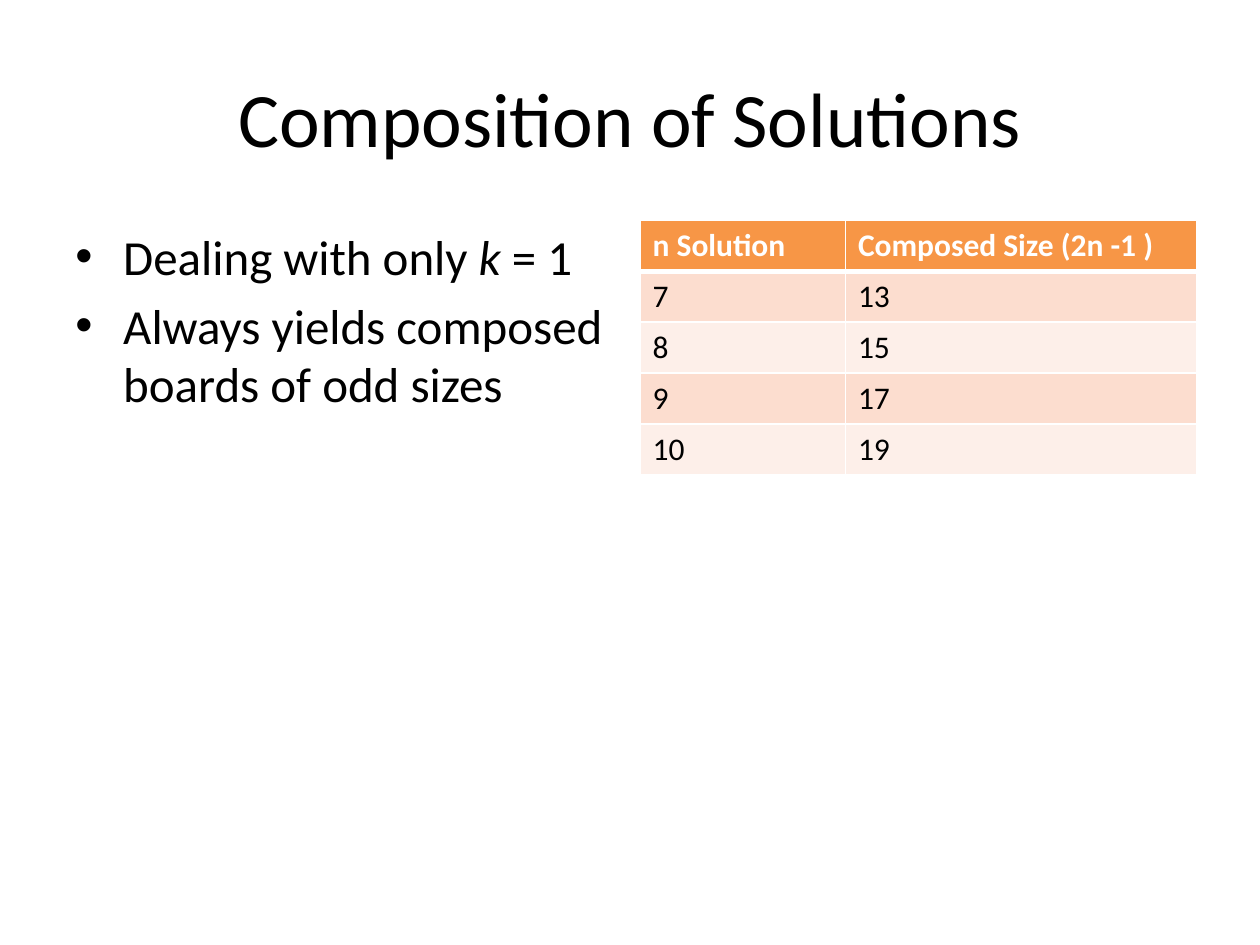
from dataclasses import dataclass

from lxml import etree
from pptx import Presentation
from pptx import util as u
from pptx.dml.color import RGBColor
from pptx.enum import text
from pptx.oxml.ns import qn

BLACK = RGBColor(0x00, 0x00, 0x00)
WHITE = RGBColor(0xFF, 0xFF, 0xFF)
ORANGE = RGBColor(0xF7, 0x96, 0x46)
PEACH = RGBColor(0xFC, 0xDD, 0xCF)
PALE_PEACH = RGBColor(0xFD, 0xEF, 0xE9)

FONT = "Calibri"
WIDTH, HEIGHT = u.Inches(10), u.Inches(7.5)
MARGIN = 0.05
COLUMN_WIDTH = 0.44
CONTENT_TOP = 0.233
TABLE_COLUMNS = (0.163, 0.279)
ROW_HEIGHT = 0.054
BULLET_INDENT = u.Inches(0.38)


@dataclass(frozen=True)
class Area:
    left: float
    top: float
    width: float
    height: float

    def box(self) -> tuple[int, int, int, int]:
        return (int(self.left * WIDTH), int(self.top * HEIGHT),
                int(self.width * WIDTH), int(self.height * HEIGHT))


@dataclass(frozen=True)
class Phrase:
    words: str
    italic: bool = False


@dataclass(frozen=True)
class Composition:
    solution: str
    composed: str


POINTS = (
    (Phrase("Dealing with only "), Phrase("k ", True), Phrase("= 1")),
    (Phrase("Always yields composed boards of odd sizes"),),
)
HEADINGS = Composition("n Solution", "Composed Size (2n -1 )")
COMPOSITIONS = [Composition(str(n), str(2 * n - 1)) for n in range(7, 11)]


def style(font, size: float, color: RGBColor, bold=False, italic=False) -> None:
    font.name, font.size = FONT, u.Pt(size)
    font.bold, font.italic = bold, italic
    font.color.rgb = color


def add_heading(slide, words: str) -> None:
    heading = slide.shapes.title
    heading.left, heading.top, heading.width, heading.height = Area(
        MARGIN, 0.04, 1 - 2 * MARGIN, 1 / 6).box()
    frame = heading.text_frame
    frame.text = words
    frame.vertical_anchor = text.MSO_ANCHOR.MIDDLE
    frame.paragraphs[0].alignment = text.PP_ALIGN.CENTER
    style(frame.paragraphs[0].runs[0].font, 44, BLACK)


def add_points(slide, area: Area) -> None:
    frame = slide.shapes.add_textbox(*area.box()).text_frame
    frame.word_wrap = True
    for index, phrases in enumerate(POINTS):
        point = frame.add_paragraph() if index else frame.paragraphs[0]
        point.space_before = u.Pt(5.6)
        properties = point._p.get_or_add_pPr()
        properties.set("marL", str(BULLET_INDENT))
        properties.set("indent", str(-BULLET_INDENT))
        etree.SubElement(properties, qn("a:buFont")).set("typeface", "Arial")
        etree.SubElement(properties, qn("a:buChar")).set("char", "•")
        for phrase in phrases:
            run = point.add_run()
            run.text = phrase.words
            style(run.font, 28, BLACK, italic=phrase.italic)


def set_borders(cell, top: float, bottom: float) -> None:
    properties = cell._tc.get_or_add_tcPr()
    for side, points in (("L", 1), ("R", 1), ("T", top), ("B", bottom)):
        border = etree.SubElement(properties, qn(f"a:ln{side}"))
        border.set("w", str(u.Pt(points)))
        fill = etree.SubElement(border, qn("a:solidFill"))
        etree.SubElement(fill, qn("a:srgbClr")).set("val", str(WHITE))


def add_sizes(slide, area: Area) -> None:
    rows = [HEADINGS, *COMPOSITIONS]
    sizes = slide.shapes.add_table(
        len(rows), len(TABLE_COLUMNS), *area.box()).table
    for column, share in zip(sizes.columns, TABLE_COLUMNS):
        column.width = int(share * WIDTH)
    for index, entry in enumerate(rows):
        is_header = index == 0
        sizes.rows[index].height = int(ROW_HEIGHT * HEIGHT)
        band = ORANGE if is_header else PEACH if index % 2 else PALE_PEACH
        for column, words in enumerate((entry.solution, entry.composed)):
            cell = sizes.cell(index, column)
            set_borders(cell, 3 if index == 1 else 1, 3 if is_header else 1)
            cell.fill.solid()
            cell.fill.fore_color.rgb = band
            cell.text_frame.text = words
            style(cell.text_frame.paragraphs[0].runs[0].font, 18,
                  WHITE if is_header else BLACK, bold=is_header)


def main() -> None:
    deck = Presentation()
    deck.slide_width, deck.slide_height = WIDTH, HEIGHT
    slide = deck.slides.add_slide(deck.slide_layouts[5])
    add_heading(slide, "Composition of Solutions")
    add_points(slide, Area(MARGIN, CONTENT_TOP, COLUMN_WIDTH, 0.66))
    add_sizes(slide, Area(1 - MARGIN - sum(TABLE_COLUMNS), CONTENT_TOP,
                          sum(TABLE_COLUMNS),
                          ROW_HEIGHT * (len(COMPOSITIONS) + 1)))
    deck.save("out.pptx")


if __name__ == "__main__":
    main()
